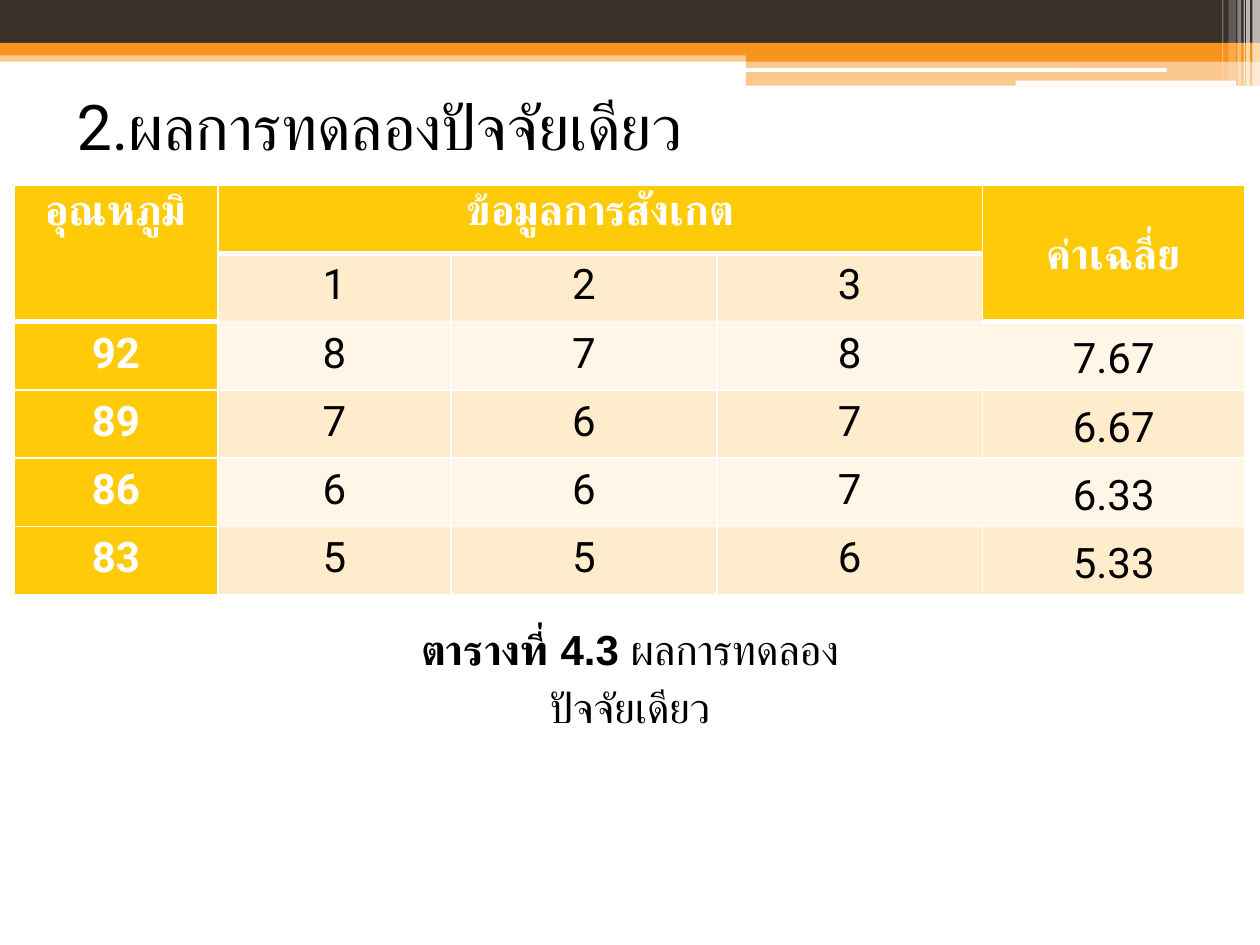
from lxml.etree import SubElement as Sub
from pptx import Presentation
from pptx.dml.color import RGBColor
from pptx.enum.shapes import MSO_SHAPE as Shape
from pptx.enum.text import MSO_ANCHOR as Anchor, PP_ALIGN as Align
from pptx.oxml.ns import qn
from pptx.util import Pt

PX = 9144  # 100 px to the inch
WHITE, BLACK, DARK, ORANGE = "FFFFFF", "000000", "39302A", "F8931D"
GOLD, BANDS = "FFCA08", ("FFF6E7", "FFECCC")
ROWS = [
    ["อุณหภูมิ", "ข้อมูลการสังเกต", "", "", "ค่าเฉลี่ย"],
    ["", "1", "2", "3", ""],
    ["92", "8", "7", "8", "7.67"],
    ["89", "7", "6", "7", "6.67"],
    ["86", "6", "6", "7", "6.33"],
    ["83", "5", "5", "6", "5.33"],
]


def px(*vals):
    return [round(v * PX) for v in vals]


def paint(part, color):
    """Give a fill or a font a solid colour."""
    if hasattr(part, "solid"):
        part.solid()
        part.fore_color.rgb = RGBColor.from_string(color)
    else:
        part.color.rgb = RGBColor.from_string(color)


def style(run, size, font, color, bold=False):
    run.font.size, run.font.name, run.font.bold = Pt(size), font, bold
    paint(run.font, color)


def bar(slide, box, color, alpha=100, kind=Shape.RECTANGLE):
    shape = slide.shapes.add_shape(kind, *px(*box))
    shape.shadow.inherit = False
    shape.line.fill.background()
    paint(shape.fill, color)
    if alpha < 100:
        tint = shape.fill._xPr.find(".//" + qn("a:srgbClr"))
        Sub(tint, qn("a:alpha")).set("val", str(alpha * 1000))


def banner(slide, left, top, width):
    def put(x, y, w, h, *look):
        bar(slide, (left + x, top + y, w, h), *look)

    put(0, 40, width, 9, ORANGE, 50)
    put(0, 0, width, 34, DARK)
    put(0, 34, width, 10, ORANGE)
    put(592, 39, width - 592, 10, ORANGE)
    put(592, 48, width - 592, 20, ORANGE, 50)
    put(591, 54, 335, 3, WHITE, 100, Shape.ROUNDED_RECTANGLE)
    put(806, 64, 175, 4, WHITE, 100, Shape.ROUNDED_RECTANGLE)
    for x, w, h, alpha in [(994, 6, 68, 65), (989, 3, 68, 65), (987, 1, 68, 60),
                           (982, 3, 68, 40), (975, 6, 64, 20), (970, 1, 64, 30)]:
        put(x, 0, w, h, WHITE, alpha)


def title(slide, box, text):
    frame = slide.shapes.add_textbox(*px(*box)).text_frame
    frame.word_wrap, frame.vertical_anchor = True, Anchor.MIDDLE
    frame.text = text
    style(frame.paragraphs[0].runs[0], 36, "Roboto", BLACK)


def is_head(row, col):
    return row == 0 or (row == 1 and col in (0, 4))


def edge(cell, side, width):
    line = Sub(cell._tc.get_or_add_tcPr(), qn("a:ln" + side), w=str(Pt(width)))
    Sub(Sub(line, qn("a:solidFill")), qn("a:srgbClr")).set("val", WHITE)


def fill_cell(cell, row, col, text):
    head = is_head(row, col)
    gold = head or col == 0
    edge(cell, "L", 1)
    edge(cell, "R", 1)
    edge(cell, "T", 3 if row and is_head(row - 1, col) != head else 1)
    edge(cell, "B", 3 if is_head(row + 1, col) != head else 1)
    paint(cell.fill, GOLD if gold else BANDS[row % 2])
    cell.margin_left, cell.margin_top, cell.margin_right, cell.margin_bottom = px(7, 0, 7, 0)
    cell.vertical_anchor = Anchor.MIDDLE if col == 4 else Anchor.TOP
    cell.text = text
    para = cell.text_frame.paragraphs[0]
    para.alignment, para.line_spacing = Align.CENTER, 1.15
    for run in para.runs:
        style(run, 24, "Roboto", WHITE if gold else BLACK, gold)


def results(slide, box):
    table = slide.shapes.add_table(len(ROWS), len(ROWS[0]), *px(*box)).table
    for col, width in zip(table.columns, px(162, 185, 211, 211, 208)):
        col.width = width
    for row, texts in enumerate(ROWS):
        table.rows[row].height = px(box[3] / len(ROWS))[0]
        for col, text in enumerate(texts):
            fill_cell(table.cell(row, col), row, col, text)
    for first, last in [((0, 0), (1, 0)), ((0, 1), (0, 3)), ((0, 4), (1, 4))]:
        table.cell(*first).merge(table.cell(*last))


def caption(slide, box):
    frame = slide.shapes.add_textbox(*px(*box)).text_frame
    frame.word_wrap = True
    para = frame.paragraphs[0]
    para.alignment, para.line_spacing, para.space_after = Align.CENTER, 1.15, Pt(10)
    for text, font, bold in [("ตารางที่ ", "Calibri", True), ("4.3 ", "Arial", True),
                             ("ผลการทดลองปัจจัยเดียว", "Arial", False)]:
        run = para.add_run()
        run.text = text
        style(run, 24, font, BLACK, bold)


def main():
    deck = Presentation()
    deck.slide_width, deck.slide_height = px(1000, 750)
    slide = deck.slides.add_slide(deck.slide_layouts[6])
    banner(slide, 0, 0, 1000)
    results(slide, (11, 147, 977, 325))
    title(slide, (51, 68, 900, 63), "2.ผลการทดลองปัจจัยเดียว")
    caption(slide, (316, 484, 368, 57))
    deck.save("out.pptx")


if __name__ == "__main__":
    main()
